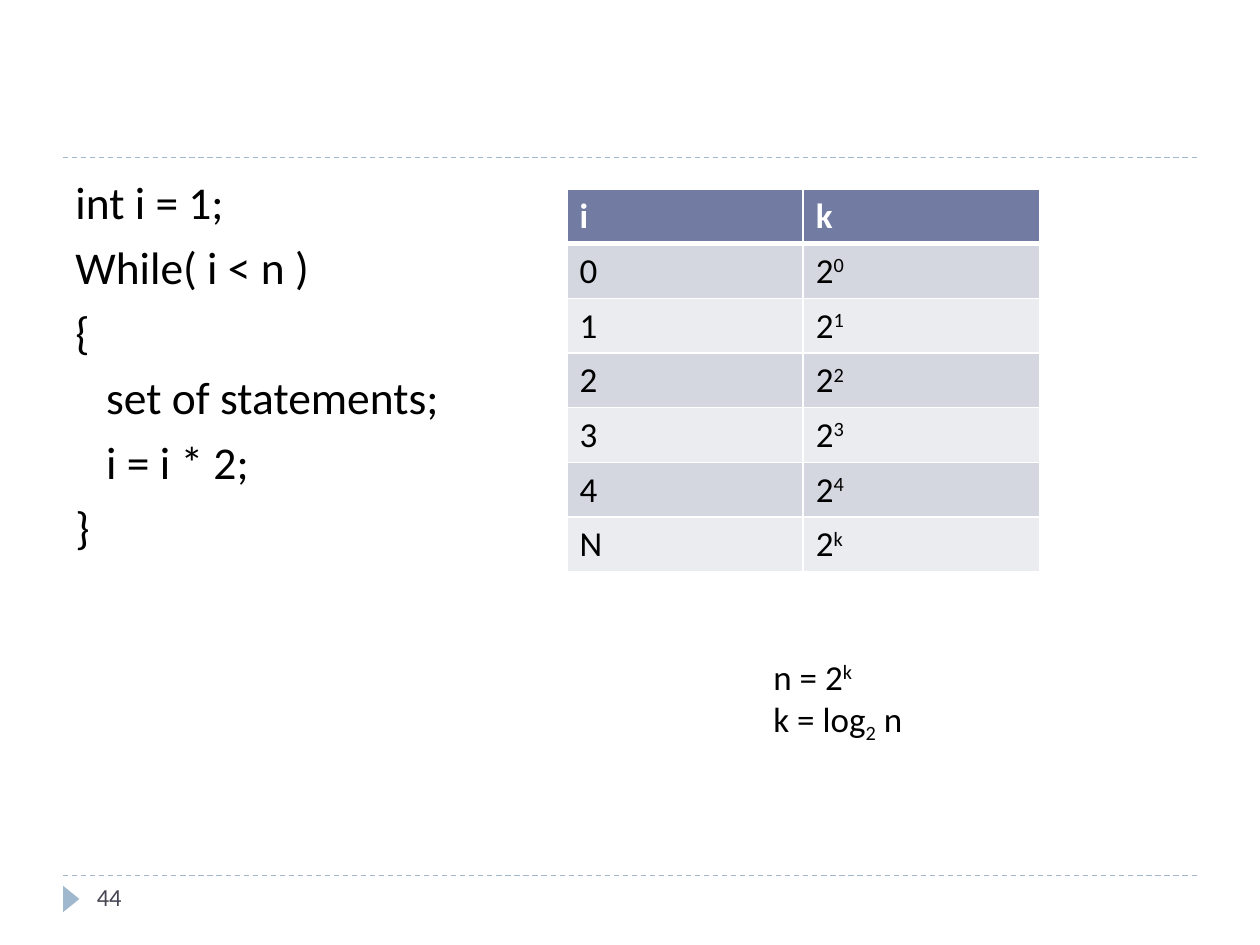
"""Build a slide on the logarithmic growth of a doubling loop."""
import lxml.etree
import pptx
import pptx.dml.color
import pptx.enum.dml
import pptx.enum.shapes
import pptx.enum.text
import pptx.oxml
import pptx.oxml.ns
import pptx.util

Inches = pptx.util.Inches
RGBColor = pptx.dml.color.RGBColor

CODE = [
    "int i = 1;",
    "While( i < n )",
    "{",
    "   set of statements;",
    "   i = i * 2;",
    "}",
]
HEADER = ["i", "k"]
STEPS = [("0", "0"), ("1", "1"), ("2", "2"), ("3", "3"), ("4", "4"), ("N", "k")]
RESULT = [
    [("n = 2", 0), ("k", 30)],
    [("k = log", 0), ("2", -25), (" n", 0)],
]
PAGE_NUMBER = "44"

FONT = "Calibri"
BLACK = RGBColor(0x00, 0x00, 0x00)
WHITE = RGBColor(0xFF, 0xFF, 0xFF)
ACCENT = RGBColor(0x9F, 0xB8, 0xCD)
GREY = RGBColor(0x46, 0x46, 0x53)
HEADER_FILL = RGBColor(0x72, 0x7C, 0xA3)
BAND_FILLS = [RGBColor(0xEB, 0xEC, 0xF0), RGBColor(0xD5, 0xD7, 0xE0)]

WIDTH, HEIGHT = 10, 7.5
MARGIN = WIDTH / 20
RULE_TOPS = [1.25, 6.95]
TABLE_LEFT, TABLE_TOP, TABLE_WIDTH, TABLE_HEIGHT = 4.5, 1.5, 3.75, 3.03


def write(frame, paragraphs, size=20, color=BLACK, bold=False, space=0):
    """Fill a text frame; a paragraph is a string or a list of (text, baseline)."""
    for index, content in enumerate(paragraphs):
        para = frame.paragraphs[0] if index == 0 else frame.add_paragraph()
        para.space_before = pptx.util.Pt(space if index else 0)
        for text, baseline in [(content, 0)] if isinstance(content, str) else content:
            span = para.add_run()
            span.text = text
            span.font.name = FONT
            span.font.size = pptx.util.Pt(size)
            span.font.bold = bold
            span.font.color.rgb = color
            if baseline:
                span._r.get_or_add_rPr().set("baseline", str(baseline * 1000))


def add_text(page, place, paragraphs, wrap=True, **style):
    box = page.shapes.add_textbox(*map(Inches, place))
    box.text_frame.word_wrap = wrap
    write(box.text_frame, paragraphs, **style)


def add_rule(page, top):
    rule = page.shapes.add_connector(
        pptx.enum.shapes.MSO_CONNECTOR.STRAIGHT,
        *map(Inches, (MARGIN, top, WIDTH - MARGIN, top)))
    rule.line.color.rgb = ACCENT
    rule.line.width = pptx.util.Pt(0.75)
    rule.line.dash_style = pptx.enum.dml.MSO_LINE.DASH
    lxml.etree.SubElement(rule._element.spPr, pptx.oxml.ns.qn("a:effectLst"))


def add_marker(page):
    marker = page.shapes.add_shape(
        pptx.enum.shapes.MSO_SHAPE.ISOSCELES_TRIANGLE,
        *map(Inches, (0.46, 7.07, 0.21, 0.13)))
    marker.rotation = 90
    marker.shadow.inherit = False
    marker.fill.solid()
    marker.fill.fore_color.rgb = ACCENT
    marker.line.fill.background()


def set_borders(cell, **points):
    properties = cell._tc.get_or_add_tcPr()
    for index, side in enumerate("LRTB"):
        width = pptx.util.Pt(points.get(side, 1))
        properties.insert(index, pptx.oxml.parse_xml(
            f'<a:ln{side} {pptx.oxml.ns.nsdecls("a")} w="{width}"><a:solidFill>'
            f'<a:srgbClr val="{WHITE}"/></a:solidFill></a:ln{side}>'))


def add_steps(page):
    rows = [HEADER] + [(step, [("2", 0), (power, 30)]) for step, power in STEPS]
    place = map(Inches, (TABLE_LEFT, TABLE_TOP, TABLE_WIDTH, TABLE_HEIGHT))
    table = page.shapes.add_table(len(rows), len(HEADER), *place).table
    for row, values in enumerate(rows):
        for column, content in enumerate(values):
            cell = table.cell(row, column)
            is_header = row == 0
            write(cell.text_frame, [content], bold=is_header,
                  color=WHITE if is_header else BLACK)
            cell.fill.solid()
            cell.fill.fore_color.rgb = HEADER_FILL if is_header else BAND_FILLS[row % 2]
            set_borders(cell, T=3 if row == 1 else 1, B=3 if is_header else 1)


def main():
    deck = pptx.Presentation()
    deck.slide_width, deck.slide_height = Inches(WIDTH), Inches(HEIGHT)
    page = deck.slides.add_slide(deck.slide_layouts[6])
    for top in RULE_TOPS:
        add_rule(page, top)
    add_marker(page)
    add_text(page, (0.67, 6.95, 2.17, 0.4), [PAGE_NUMBER], size=14, color=GREY)
    add_text(page, (MARGIN, 1.33, WIDTH - 2 * MARGIN, 5.4), CODE, size=26, space=6)
    add_steps(page)
    add_text(page, (6.04, 5.15, 1.33, 0.77), RESULT, wrap=False)
    deck.save("out.pptx")


if __name__ == "__main__":
    main()
